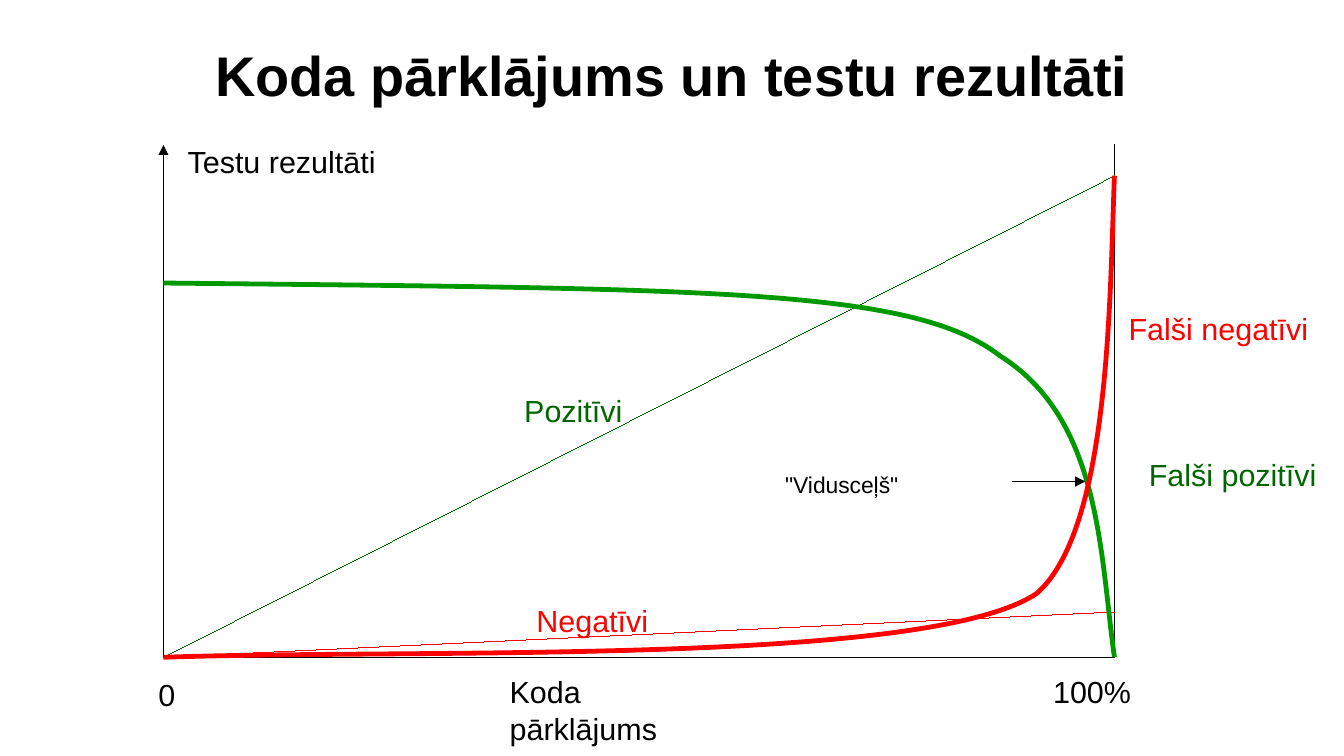
from lxml.etree import SubElement
from pptx import Presentation
from pptx.dml.color import RGBColor
from pptx.enum.shapes import MSO_CONNECTOR
from pptx.enum.text import MSO_ANCHOR, PP_ALIGN
from pptx.oxml.ns import qn
from pptx.util import Pt

BLACK = RGBColor(0x00, 0x00, 0x00)
RED = RGBColor(0xFF, 0x00, 0x00)
GREEN = RGBColor(0x00, 0x99, 0x00)
DARK_GREEN = RGBColor(0x00, 0x66, 0x00)

LEFT, RIGHT, TOP, BOTTOM = 96.5, 658, 85.6, 388.2
PEAK = 103.8

deck = Presentation()
deck.slide_width, deck.slide_height = Pt(793.5), Pt(446.5)
slide = deck.slides.add_slide(deck.slide_layouts[5])
shapes = slide.shapes

title = shapes.title
title.left, title.top, title.width, title.height = Pt(39.6), Pt(6.9), Pt(714.2), Pt(74.2)
frame = title.text_frame
frame_format = {"margin_left": 0, "margin_right": 0, "margin_top": 0, "margin_bottom": 0,
                "vertical_anchor": MSO_ANCHOR.MIDDLE, "word_wrap": True}
for name, value in frame_format.items():
    setattr(frame, name, value)
frame.text = "Koda pārklājums un testu rezultāti"
para = frame.paragraphs[0]
para.alignment = PP_ALIGN.CENTER
for name, value in {"name": "Arial", "size": Pt(33), "bold": True}.items():
    setattr(para.font, name, value)
para.font.color.rgb = BLACK

# Axes, straight trends and the pointer: start, end, colour, arrow at the end
lines = [
    ((LEFT, BOTTOM), (LEFT, TOP), BLACK, True),
    ((LEFT, BOTTOM), (RIGHT, BOTTOM), BLACK, False),
    ((RIGHT, TOP), (RIGHT, BOTTOM), BLACK, False),
    ((LEFT, BOTTOM), (RIGHT, PEAK), DARK_GREEN, False),
    ((LEFT, BOTTOM), (RIGHT, 361.5), RED, False),
    ((597.6, 284.4), (640.8, 284.4), BLACK, True),
]
for start, end, color, has_arrow in lines:
    line = shapes.add_connector(MSO_CONNECTOR.STRAIGHT, *map(Pt, start + end))
    line.line.color.rgb = color
    properties = line._element.spPr
    outline = properties.find(qn("a:ln"))
    outline.set("w", "0")  # hairline
    if has_arrow:
        SubElement(outline, qn("a:tailEnd"), type="triangle")
    SubElement(properties, qn("a:effectLst"))

# False positives and false negatives: each segment holds two handles and an end
curves = [
    (GREEN, (LEFT, 167.2), [((422.6, 170.6), (539.3, 170.6), (590.4, 210.2)),
                            ((650.2, 247.7), (649.4, 326.9), (RIGHT, BOTTOM))]),
    (RED, (LEFT, BOTTOM), [((244.8, 383), (547.2, 393.8), (612, 350.6)),
                           ((655.2, 313.2), (655.2, 177.8), (RIGHT, PEAK))]),
]
for color, start, segments in curves:
    builder = shapes.build_freeform(*map(Pt, start))
    builder.add_line_segments([tuple(map(Pt, end)) for *_, end in segments], close=False)
    curve = builder.convert_to_shape()
    straight_parts = list(curve._element.iter(qn("a:lnTo")))
    for part, (*handles, _) in zip(straight_parts, segments):
        part.tag = qn("a:cubicBezTo")
        for index, (x, y) in enumerate(handles):
            point = SubElement(part, qn("a:pt"), x=str(Pt(x) - curve.left),
                               y=str(Pt(y) - curve.top))
            part.insert(index, point)
    curve.fill.background()
    curve.line.color.rgb = color
    curve.line.width = Pt(2.83)
    curve.shadow.inherit = False

# Labels: text, left, top, width, height, size, colour
labels = [
    ("Testu rezultāti", 103.7, 81, 206, 27.4, 18, BLACK),
    ("Koda pārklājums", 293.8, 394.1, 131, 47.5, 18, BLACK),
    ("0", 86.4, 396, 28.8, 27.4, 18, BLACK),
    ("100%", 614.7, 394, 90.7, 27.4, 18, BLACK),
    ("Falši pozitīvi", 671.2, 265.7, 113.8, 27.4, 18, DARK_GREEN),
    ("Falši negatīvi", 659.3, 179.3, 147, 27.4, 18, RED),
    ("Pozitīvi", 302.4, 228.2, 94.3, 27.4, 18, DARK_GREEN),
    ("Negatīvi", 309.6, 352.1, 128.9, 27.4, 18, RED),
    ('"Vidusceļš"', 456.5, 274.3, 129.6, 22.3, 13.5, BLACK),
]
for text, left, top, width, height, size, color in labels:
    box = shapes.add_textbox(*map(Pt, (left, top, width, height)))
    box.text_frame.word_wrap = True
    box.text_frame.text = text
    font = box.text_frame.paragraphs[0].font
    font.name, font.size = "Arial", Pt(size)
    font.color.rgb = color

deck.save("out.pptx")
